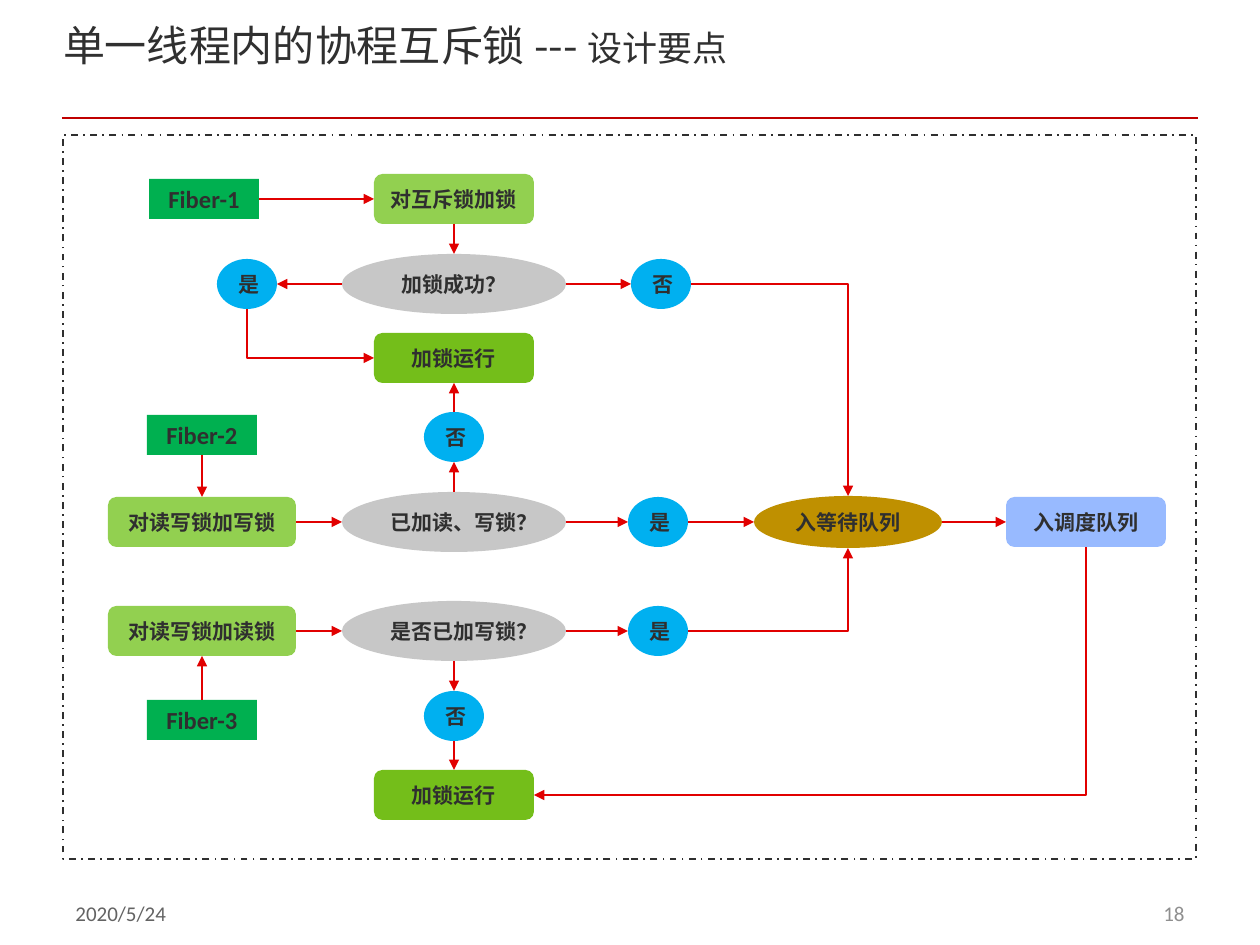
from dataclasses import dataclass

from lxml import etree
from pptx import Presentation
from pptx import util as u
from pptx.dml.color import RGBColor
from pptx.enum import dml, shapes, text
from pptx.oxml.ns import qn

SCALE = 914400 / 126
LATIN, CJK = "Calibri", "Noto Sans CJK SC"
COLORS = {
    "title": "303030", "ink": "2F2F2F", "date": "636363", "number": "8F8F8F",
    "rule": "C00000", "arrow": "E10000", "fiber": "00B050", "lock": "92D050",
    "run": "74BE1A", "decision": "C7C7C7", "answer": "00B0F0",
    "wait": "BF9000", "schedule": "98BAFF",
}


@dataclass(frozen=True)
class Kind:
    shape: shapes.MSO_SHAPE
    w: int
    h: int
    color: str
    size: int = 12


@dataclass(frozen=True)
class Node:
    kind: Kind
    cx: int
    cy: int
    label: str

    def side(self, name: str) -> tuple[int, int]:
        dx, dy = {"top": (0, -1), "left": (-1, 0), "bottom": (0, 1), "right": (1, 0)}[name]
        return self.cx + dx * self.kind.w // 2, self.cy + dy * self.kind.h // 2


@dataclass(frozen=True)
class Arrow:
    start: str
    start_side: str
    end: str
    end_side: str


RECT, ROUND, OVAL = (shapes.MSO_SHAPE.RECTANGLE, shapes.MSO_SHAPE.ROUNDED_RECTANGLE,
                     shapes.MSO_SHAPE.OVAL)
FIBER = Kind(RECT, 110, 40, "fiber", 14)
LOCK = Kind(ROUND, 160, 50, "lock")
RW_LOCK = Kind(ROUND, 188, 50, "lock")
RUN = Kind(ROUND, 160, 50, "run")
DECISION = Kind(OVAL, 224, 60, "decision")
ANSWER = Kind(OVAL, 60, 50, "answer")
WAIT = Kind(OVAL, 188, 52, "wait")
SCHEDULE = Kind(ROUND, 160, 50, "schedule")
LEFT_X, MAIN_X, YES_X, WAIT_X, SCHEDULE_X = 202, 454, 658, 848, 1086
MUTEX_Y, TRY_Y, WRITE_Y, READ_Y = 199, 284, 522, 631

NODES = {
    "fiber1": Node(FIBER, LEFT_X + 2, MUTEX_Y, "Fiber-1"),
    "fiber2": Node(FIBER, LEFT_X, 435, "Fiber-2"),
    "fiber3": Node(FIBER, LEFT_X, 720, "Fiber-3"),
    "mutex": Node(LOCK, MAIN_X, MUTEX_Y, "对互斥锁加锁"),
    "write": Node(RW_LOCK, LEFT_X, WRITE_Y, "对读写锁加写锁"),
    "read": Node(RW_LOCK, LEFT_X, READ_Y, "对读写锁加读锁"),
    "locked": Node(DECISION, MAIN_X, TRY_Y, "加锁成功？"),
    "any_lock": Node(DECISION, MAIN_X, WRITE_Y, "已加读、写锁？"),
    "write_lock": Node(DECISION, MAIN_X, READ_Y, "是否已加写锁？"),
    "locked_yes": Node(ANSWER, 247, TRY_Y, "是"),
    "locked_no": Node(ANSWER, YES_X + 3, TRY_Y, "否"),
    "any_no": Node(ANSWER, MAIN_X, 437, "否"),
    "any_yes": Node(ANSWER, YES_X, WRITE_Y, "是"),
    "write_no": Node(ANSWER, MAIN_X, 716, "否"),
    "write_yes": Node(ANSWER, YES_X, READ_Y, "是"),
    "run_top": Node(RUN, MAIN_X, 358, "加锁运行"),
    "run_bottom": Node(RUN, MAIN_X, 795, "加锁运行"),
    "wait": Node(WAIT, WAIT_X, WRITE_Y, "入等待队列"),
    "schedule": Node(SCHEDULE, SCHEDULE_X, WRITE_Y, "入调度队列"),
}

ARROWS = [
    Arrow("fiber1", "right", "mutex", "left"),
    Arrow("mutex", "bottom", "locked", "top"),
    Arrow("locked", "left", "locked_yes", "right"),
    Arrow("locked", "right", "locked_no", "left"),
    Arrow("locked_yes", "bottom", "run_top", "left"),
    Arrow("locked_no", "right", "wait", "top"),
    Arrow("fiber2", "bottom", "write", "top"),
    Arrow("write", "right", "any_lock", "left"),
    Arrow("any_lock", "top", "any_no", "bottom"),
    Arrow("any_no", "top", "run_top", "bottom"),
    Arrow("any_lock", "right", "any_yes", "left"),
    Arrow("any_yes", "right", "wait", "left"),
    Arrow("wait", "right", "schedule", "left"),
    Arrow("schedule", "bottom", "run_bottom", "right"),
    Arrow("fiber3", "top", "read", "bottom"),
    Arrow("read", "right", "write_lock", "left"),
    Arrow("write_lock", "right", "write_yes", "left"),
    Arrow("write_yes", "right", "wait", "bottom"),
    Arrow("write_lock", "bottom", "write_no", "top"),
    Arrow("write_no", "bottom", "run_bottom", "top"),
]


def px(n: float) -> int:
    return round(n * SCALE)


def rgb(name: str) -> RGBColor:
    return RGBColor.from_string(COLORS[name])


def add_run(p, label: str, size: int, color: str, font: str = LATIN, bold: bool = False) -> None:
    r = p.add_run()
    r.text = label
    r.font.name, r.font.size, r.font.bold = font, u.Pt(size), bold
    r.font.color.rgb = rgb(color)
    etree.SubElement(r.font._element, qn("a:ea")).set("typeface", CJK)


def add_line(s, start: tuple[int, int], end: tuple[int, int], color: str, width: float):
    c = s.shapes.add_connector(shapes.MSO_CONNECTOR.STRAIGHT, *map(px, (*start, *end)))
    c.line.color.rgb = rgb(color)
    c.line.width = u.Pt(width)
    etree.SubElement(c._element.spPr, qn("a:effectLst"))
    return c


def bend(c, start: tuple[int, int], end: tuple[int, int], vertical_first: bool) -> None:
    c._element.spPr.find(qn("a:prstGeom")).set("prst", "bentConnector2")
    if not vertical_first:
        return
    (x1, y1), (x2, y2) = start, end
    w, h = abs(y2 - y1), abs(x2 - x1)
    c.left, c.top = px((x1 + x2 - w) / 2), px((y1 + y2 - h) / 2)
    c.width, c.height = px(w), px(h)
    xfrm = c._element.spPr.find(qn("a:xfrm"))
    xfrm.attrib.pop("flipH", None)
    xfrm.set("rot", "5400000")
    if x2 > x1:
        xfrm.set("flipV", "1")


def add_node(s, node: Node):
    k = node.kind
    sp = s.shapes.add_shape(k.shape, px(node.cx - k.w / 2), px(node.cy - k.h / 2), px(k.w), px(k.h))
    sp.shadow.inherit = False
    sp.fill.solid()
    sp.fill.fore_color.rgb = rgb(k.color)
    sp.line.fill.background()
    p = sp.text_frame.paragraphs[0]
    p.alignment = text.PP_ALIGN.CENTER
    add_run(p, node.label, k.size, "ink", bold=True)
    return sp


def add_arrow(s, arrow: Arrow, drawn: dict) -> None:
    start = NODES[arrow.start].side(arrow.start_side)
    end = NODES[arrow.end].side(arrow.end_side)
    c = add_line(s, start, end, "arrow", 0.75)
    if start[0] != end[0] and start[1] != end[1]:
        bend(c, start, end, arrow.start_side in ("top", "bottom"))
    etree.SubElement(c.line._get_or_add_ln(), qn("a:tailEnd")).set("type", "triangle")
    glue = c._element.find(qn("p:nvCxnSpPr")).find(qn("p:cNvCxnSpPr"))
    ends = (("a:stCxn", arrow.start, arrow.start_side), ("a:endCxn", arrow.end, arrow.end_side))
    for tag, name, side in ends:
        step = 2 if NODES[name].kind.shape == OVAL else 1
        cxn = etree.SubElement(glue, qn(tag))
        cxn.set("id", str(drawn[name].shape_id))
        cxn.set("idx", str(("top", "left", "bottom", "right").index(side) * step))


def add_footer(s, x: int, label: str, color: str, align: text.PP_ALIGN) -> None:
    tf = s.shapes.add_textbox(px(x), px(880), px(294), px(67)).text_frame
    tf.word_wrap = True
    tf.vertical_anchor = text.MSO_ANCHOR.MIDDLE
    tf.paragraphs[0].alignment = align
    add_run(tf.paragraphs[0], label, 12, color)


def add_title(s) -> None:
    sp = s.shapes.title
    sp.left, sp.top, sp.width, sp.height = map(px, (63, 25, 974, 88))
    tf = sp.text_frame
    tf.margin_left = tf.margin_top = tf.margin_right = tf.margin_bottom = 0
    tf.vertical_anchor = text.MSO_ANCHOR.TOP
    tf.auto_size = text.MSO_AUTO_SIZE.NONE
    p = tf.paragraphs[0]
    p.alignment, p.line_spacing = text.PP_ALIGN.LEFT, 0.9
    add_run(p, "单一线程内的协程互斥锁 --- ", 24, "title", CJK)
    add_run(p, "设计要点", 20, "title", CJK)


def main() -> None:
    prs = Presentation()
    prs.slide_width, prs.slide_height = px(1260), px(945)
    s = prs.slides.add_slide(prs.slide_layouts[5])
    add_title(s)
    add_line(s, (62, 118), (1198, 118), "rule", 1)
    add_footer(s, 63, "2020/5/24", "date", text.PP_ALIGN.LEFT)
    add_footer(s, 903, "18", "number", text.PP_ALIGN.RIGHT)
    frame = s.shapes.add_shape(RECT, *map(px, (63, 135, 1133, 724)))
    frame.shadow.inherit = False
    frame.fill.background()
    frame.line.color.rgb = rgb("ink")
    frame.line.width = u.Pt(1)
    frame.line.dash_style = dml.MSO_LINE.DASH_DOT
    drawn = {name: add_node(s, node) for name, node in NODES.items()}
    for arrow in ARROWS:
        add_arrow(s, arrow, drawn)
    prs.save("out.pptx")


if __name__ == "__main__":
    main()
